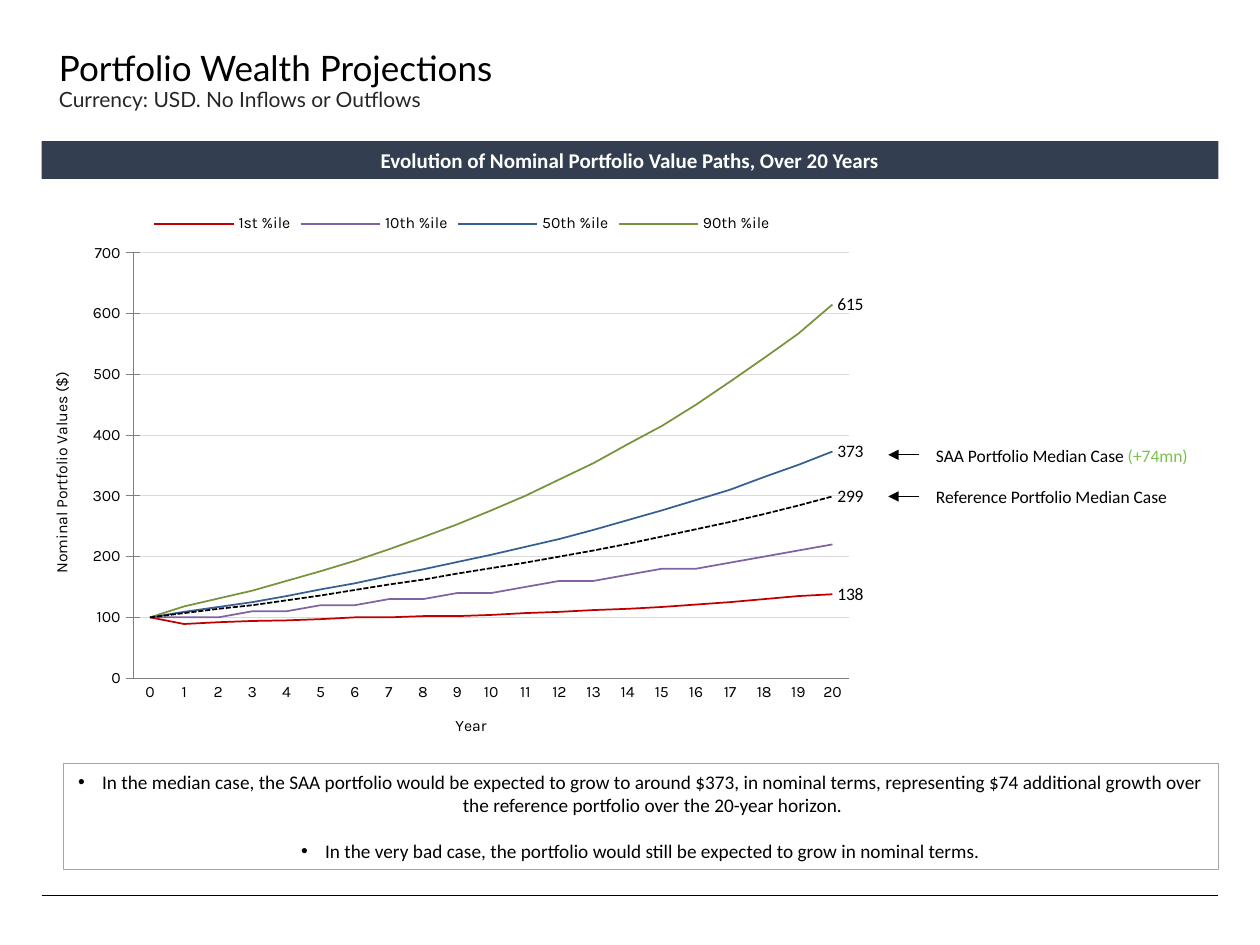
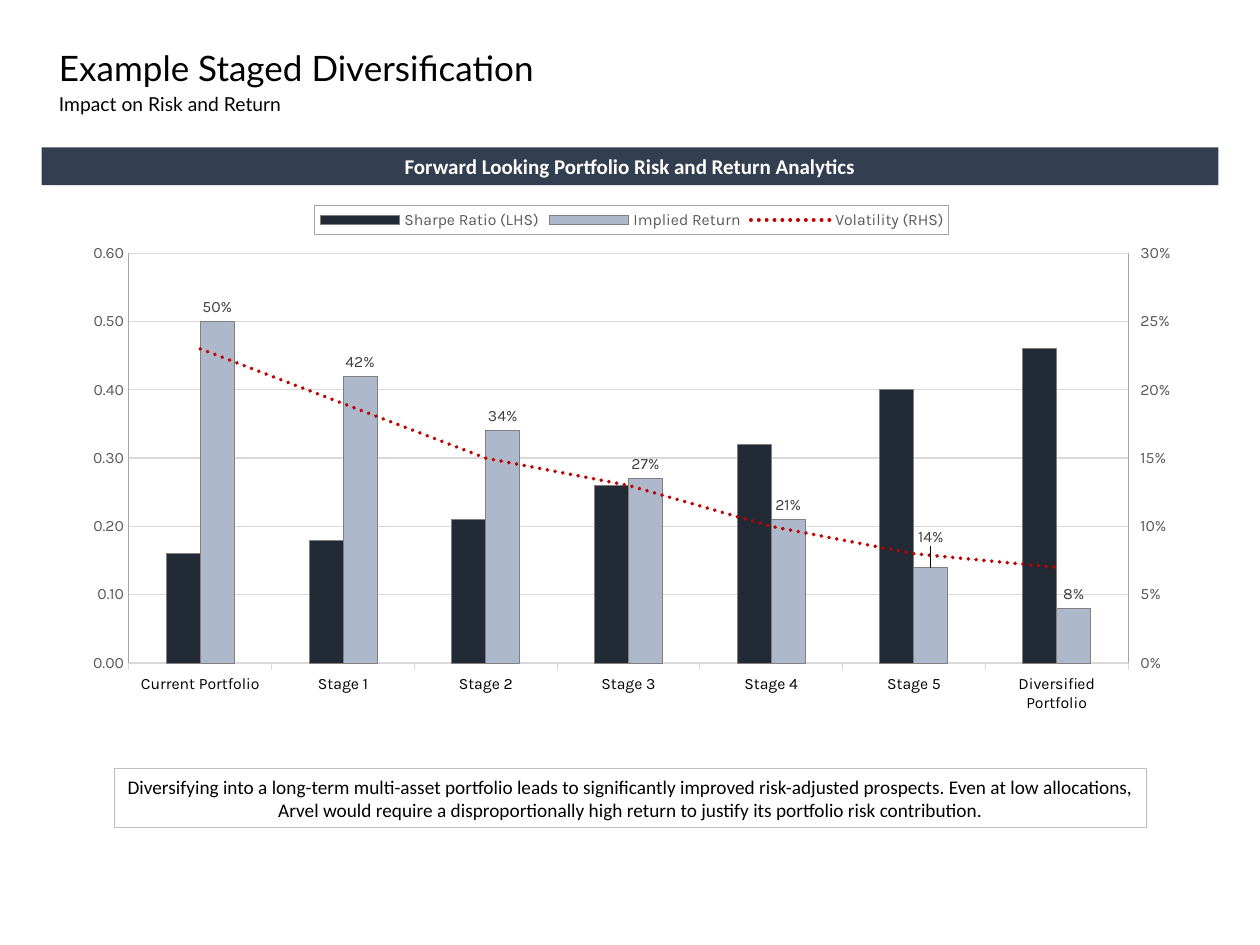
"""Build two portfolio analytics slides with native charts."""
import dataclasses
import typing

import lxml.etree
import pptx
import pptx.chart.axis
import pptx.chart.data
import pptx.dml.color
import pptx.enum.chart
import pptx.enum.dml
import pptx.enum.shapes
import pptx.enum.text
import pptx.oxml
import pptx.oxml.ns
import pptx.util

Inches, Pt, qn = pptx.util.Inches, pptx.util.Pt, pptx.oxml.ns.qn
BLACK, WHITE, BAND, RED = "000000", "FFFFFF", "333F50", "C00000"
GRID, AXIS, MUTED, BORDER = "D9D9D9", "808080", "595959", "A6A6A6"
TITLE_FONT, BODY_FONT, CHART_FONT = "Lato", "Calibri", "Karla"
TICK, DASH, KIND = pptx.enum.chart.XL_TICK_MARK, pptx.enum.dml.MSO_LINE, pptx.enum.chart.XL_CHART_TYPE
LABEL_AT, NO_MARKER = pptx.enum.chart.XL_LABEL_POSITION, pptx.enum.chart.XL_MARKER_STYLE.NONE


class Box(typing.NamedTuple):
    left: float
    top: float
    width: float
    height: float


class Run(typing.NamedTuple):
    text: str
    size: float
    color: str = BLACK
    font: str = BODY_FONT
    bold: bool = False


@dataclasses.dataclass
class Path:
    name: str
    color: str
    values: list[float]
    labelled: bool = True
    dash: typing.Any = None


PATHS = [
    Path("1st %ile", RED, [100, 89, 92, 94, 95, 97, 100, 100, 102, 102, 104, 107, 109, 112, 114, 117,
                           121, 125, 130, 135, 138]),
    Path("10th %ile", "8064A2", [100, 100, 100, 110, 110, 120, 120, 130, 130, 140, 140, 150, 160, 160,
                                 170, 180, 180, 190, 200, 210, 220], labelled=False),
    Path("50th %ile", "376092", [100, 109, 117, 125, 135, 146, 156, 168, 179, 191, 203, 216, 229, 244,
                                 260, 276, 293, 310, 331, 351, 373]),
    Path("90th %ile", "77933C", [100, 118, 131, 144, 160, 176, 193, 212, 232, 253, 276, 300, 327, 354,
                                 385, 415, 450, 488, 527, 567, 615]),
    Path("Series 5", BLACK, [100, 107, 114, 120, 128, 136, 145, 154, 162, 172, 181, 190, 200, 210,
                             221, 233, 245, 257, 270, 284, 299], dash=DASH.SQUARE_DOT),
]
CALLOUTS = {
    3.61: [Run("SAA Portfolio Median Case ", 10), Run("(+74mn)", 10, "7CC04D")],
    3.94: [Run("Reference Portfolio Median Case", 10)],
}
STAGES = ["Current Portfolio", *(f"Stage {n}" for n in range(1, 6)), "Diversified Portfolio"]
STAGE_VALUES = {
    "Sharpe Ratio (LHS)": [0.16, 0.18, 0.21, 0.26, 0.32, 0.4, 0.46],
    "Implied Return": [0.5, 0.42, 0.34, 0.27, 0.21, 0.14, 0.08],
    "Volatility (RHS)": [0.23, 0.19, 0.15, 0.13, 0.1, 0.08, 0.07],
}


def rgb(color: str) -> pptx.dml.color.RGBColor:
    """Turn a hex string into a colour."""
    return pptx.dml.color.RGBColor.from_string(color)


def xml(tag: str, inside: str = "", attributes: str = ""):
    """Make a chart element from its tag, content and attributes."""
    return pptx.oxml.parse_xml(f"<c:{tag} {pptx.oxml.ns.nsdecls('c', 'a')} {attributes}>{inside}</c:{tag}>")


def set_font(font, size: float, color: str = BLACK, name: str = CHART_FONT, bold: bool = False) -> None:
    """Set size, colour, family and weight of a font."""
    font.size, font.name, font.bold = Pt(size), name, bold
    font.color.rgb = rgb(color)


def set_line(line, color: str, width: float, dash=None) -> None:
    """Set colour, width and dash of a line."""
    line.color.rgb = rgb(color)
    line.width = Pt(width)
    line.dash_style = dash


def add_runs(p, runs: list[Run]) -> None:
    """Add styled runs to a paragraph."""
    for run in runs:
        r = p.add_run()
        r.text = run.text
        set_font(r.font, *run[1:])


def add_text(s, box: Box, runs: list[Run]) -> None:
    """Add a wrapping text box."""
    tf = s.shapes.add_textbox(*map(Inches, box)).text_frame
    tf.word_wrap = True
    add_runs(tf.paragraphs[0], runs)


def add_panel(s, box: Box, runs: list[Run], fill: str = "", border: str = "", bullets: bool = False) -> None:
    """Add a rectangle with one centred paragraph for each run."""
    sp = s.shapes.add_shape(pptx.enum.shapes.MSO_SHAPE.RECTANGLE, *map(Inches, box))
    sp.shadow.inherit = False
    sp.fill.background()
    sp.line.fill.background()
    if fill:
        sp.fill.solid()
        sp.fill.fore_color.rgb = rgb(fill)
    if border:
        set_line(sp.line, border, 0.5)
    tf = sp.text_frame
    tf.word_wrap = True
    tf.vertical_anchor = pptx.enum.text.MSO_ANCHOR.MIDDLE
    for i, run in enumerate(runs):
        p = tf.add_paragraph() if i else tf.paragraphs[0]
        if bullets:
            pPr = p._p.get_or_add_pPr()
            pPr.set("marL", str(Inches(0.19)))
            pPr.set("indent", str(Inches(-0.19)))
            lxml.etree.SubElement(pPr, qn("a:buFont"), typeface="Arial")
            lxml.etree.SubElement(pPr, qn("a:buChar"), char="•")
        p.alignment = pptx.enum.text.PP_ALIGN.CENTER
        if i:
            p.space_before = Pt(13)
        add_runs(p, [run])


def add_line(s, left: float, right: float, y: float, arrow: bool = False) -> None:
    """Add a thin level line, with an arrowhead at its second end if asked."""
    sp = s.shapes.add_connector(pptx.enum.shapes.MSO_CONNECTOR.STRAIGHT, *map(Inches, (left, y, right, y)))
    set_line(sp.line, BLACK, 0.5)
    if arrow:
        lxml.etree.SubElement(sp.element.spPr.find(qn("a:ln")), qn("a:tailEnd"), type="triangle")
    lxml.etree.SubElement(sp.element.spPr, qn("a:effectLst"))


def add_header(s, title: str, subtitle: Run, subtitle_top: float, band: str, band_top: float) -> None:
    """Add title, subtitle and the dark band."""
    add_text(s, Box(0.37, 0.32, 8.47, 0.44), [Run(title, 20, font=TITLE_FONT)])
    add_text(s, Box(0.37, subtitle_top, 8.47, 0.3), [subtitle])
    add_panel(s, Box(0.33, band_top, 9.34, 0.3), [Run(band, 12, WHITE, bold=True)], fill=BAND)


def manual_layout(box: Box, target: str = ""):
    """Make a layout element from fractions of the chart."""
    sizes = "".join(f'<c:{tag} val="{v}"/>' for tag, v in zip("xywh", box))
    return xml("layout", f'<c:manualLayout>{target}<c:xMode val="edge"/><c:yMode val="edge"/>{sizes}'
                         '</c:manualLayout>')


def outline():
    """Make a thin grey border for a part of a chart."""
    return xml("spPr", f'<a:ln w="6350"><a:solidFill><a:srgbClr val="{BORDER}"/></a:solidFill></a:ln>')


def add_chart(s, kind, box: Box, categories, series: dict, plot: Box, font: str, legend_color: str):
    """Add a chart with a top legend and a fixed plot area; return it with that area."""
    data = pptx.chart.data.CategoryChartData()
    data.categories = categories
    for name, values in series.items():
        data.add_series(name, values)
    chart = s.shapes.add_chart(kind, *map(Inches, box), data).chart
    set_font(chart.font, 10, name=font)
    chart.has_title, chart.has_legend = False, True
    chart.legend.position = pptx.enum.chart.XL_LEGEND_POSITION.TOP
    chart.legend.include_in_layout = False
    set_font(chart.legend.font, 9, legend_color)
    chart.plots[0].vary_by_categories = False
    area = chart.element.find(".//" + qn("c:plotArea"))
    for old in area.findall(qn("c:layout")):
        area.remove(old)
    area.insert(0, manual_layout(plot, '<c:layoutTarget val="inner"/>'))
    return chart, area


def style_axis(axis, color: str, line: str = "", tick=TICK.NONE, grid: float = 0, title: str = "") -> None:
    """Set fonts, line, ticks, gridlines and title of an axis."""
    set_font(axis.tick_labels.font, 9, color)
    axis.format.line.fill.background()
    if line:
        set_line(axis.format.line, line, 0.5)
    axis.major_tick_mark, axis.minor_tick_mark = tick, TICK.NONE
    axis.has_major_gridlines = bool(grid)
    if grid:
        set_line(axis.major_gridlines.format.line, GRID, grid)
    if title:
        add_runs(axis.axis_title.text_frame.paragraphs[0], [Run(title, 9, font=CHART_FONT)])


def set_scale(axis, top: float, step: float, number_format: str) -> None:
    """Scale an axis from zero and format its numbers."""
    axis.minimum_scale, axis.maximum_scale, axis.major_unit = 0, top, step
    axis.tick_labels.number_format, axis.tick_labels.number_format_is_linked = number_format, False


def style_path(series, color: str, width: float, dash=None) -> None:
    """Draw a series as a straight line without markers."""
    series.smooth = False
    series.marker.style = NO_MARKER
    set_line(series.format.line, color, width, dash)


def add_path_chart(s) -> None:
    """Add the line chart of portfolio value paths."""
    chart, area = add_chart(s, KIND.LINE, Box(0.37, 1.59, 6.59, 4.39), [str(n) for n in range(21)],
                            {path.name: path.values for path in PATHS},
                            Box(0.104, 0.095, 0.863, 0.769), BODY_FONT, BLACK)
    style_axis(chart.category_axis, BLACK, AXIS, title="Year")
    style_axis(chart.value_axis, BLACK, AXIS, TICK.CROSS, 0.5, "Nominal Portfolio Values ($)")
    set_scale(chart.value_axis, 700, 100, "0")
    valAx = area.find(qn("c:valAx"))
    if valAx.find(qn("c:crossBetween")) is None:
        valAx.find(qn("c:crosses")).addnext(xml("crossBetween", attributes='val="between"'))
    pos = chart.legend._element.find(qn("c:legendPos"))
    pos.addnext(manual_layout(Box(0.04, 0.01, 0.94, 0.09)))
    pos.addnext(xml("legendEntry", '<c:idx val="4"/><c:delete val="1"/>'))
    for path, series in zip(PATHS, chart.plots[0].series):
        style_path(series, path.color, 1, path.dash)
        if path.labelled:
            series.data_labels.show_value = False
            label = series.points[len(path.values) - 1].data_label
            set_font(label.font, 10, name=BODY_FONT)
            label.position = LABEL_AT.RIGHT


def move_to_right_axis(area):
    """Turn the last column series into a line on a right axis, and return that axis."""
    bars = area.find(qn("c:barChart"))
    ser = bars.findall(qn("c:ser"))[-1]
    for flag in ser.findall(qn("c:invertIfNegative")):
        ser.remove(flag)
    lines = xml("lineChart", '<c:grouping val="standard"/><c:varyColors val="0"/><c:marker val="1"/>'
                             '<c:axId val="5001"/><c:axId val="5002"/>')
    lines.insert(2, ser)
    bars.addnext(lines)
    cat, val = (xml(tag, f'<c:axId val="{own}"/><c:scaling><c:orientation val="minMax"/></c:scaling>'
                         f'<c:delete val="{hidden}"/><c:axPos val="{side}"/><c:crossAx val="{other}"/>'
                         f'<c:crosses val="{cross}"/>')
                for tag, own, other, hidden, side, cross in (("catAx", 5001, 5002, 1, "b", "autoZero"),
                                                             ("valAx", 5002, 5001, 0, "r", "max")))
    val.append(xml("crossBetween", attributes='val="between"'))
    area.find(qn("c:valAx")).addnext(cat)
    cat.addprevious(val)
    return pptx.chart.axis.ValueAxis(val)


def add_stage_chart(s) -> None:
    """Add the combined column and line chart of the stages."""
    chart, area = add_chart(s, KIND.COLUMN_CLUSTERED, Box(0.56, 1.56, 8.91, 4.17), STAGES, STAGE_VALUES,
                            Box(0.052, 0.108, 0.89, 0.78), CHART_FONT, MUTED)
    chart.legend._element.find(qn("c:txPr")).addprevious(outline())
    area.append(outline())
    style_axis(chart.category_axis, BLACK, GRID, TICK.OUTSIDE)
    style_axis(chart.value_axis, MUTED, grid=0.75)
    set_scale(chart.value_axis, 0.6, 0.1, "0.00")
    right = move_to_right_axis(area)
    style_axis(right, MUTED, tick=TICK.OUTSIDE)
    set_scale(right, 0.3, 0.05, "0%")
    bars, lines = chart.plots
    bars.gap_width = 219
    for series, color in zip(bars.series, ("222A35", "ADB9CA")):
        series.format.fill.solid()
        series.format.fill.fore_color.rgb = rgb(color)
        set_line(series.format.line, AXIS, 0.5)
    labels = bars.series[1].data_labels
    labels.show_value = True
    labels.number_format, labels.number_format_is_linked = "0%", False
    raised = bars.series[1].points[5].data_label
    for label in (labels, raised):
        label.position = LABEL_AT.OUTSIDE_END
        set_font(label.font, 9, "404040")
    idx = labels._element.find(qn("c:dLbl")).find(qn("c:idx"))
    idx.addnext(xml("numFmt", attributes='formatCode="0%" sourceLinked="0"'))
    idx.addnext(xml("layout", '<c:manualLayout><c:x val="0"/><c:y val="-0.03"/></c:manualLayout>'))
    style_path(lines.series[0], RED, 2.25, DASH.ROUND_DOT)
    lines.series[0]._element.find(".//" + qn("a:ln")).set("cap", "rnd")


def main() -> None:
    """Build and save the presentation."""
    prs = pptx.Presentation()
    prs.slide_width, prs.slide_height = Inches(10), Inches(7.5)
    s = prs.slides.add_slide(prs.slide_layouts[6])
    add_header(s, "Portfolio Wealth Projections",
               Run("Currency: USD. No Inflows or Outflows", 12, "262626", TITLE_FONT), 0.64,
               "Evolution of Nominal Portfolio Value Paths, Over 20 Years", 1.12)
    add_path_chart(s)
    for y, runs in CALLOUTS.items():
        add_text(s, Box(7.33, y - 0.13, 2.25, 0.27), runs)
        add_line(s, 7.29, 7.05, y, arrow=True)
    add_panel(s, Box(0.5, 6.06, 9.17, 0.84), [Run(text, 11) for text in (
        "In the median case, the SAA portfolio would be expected to grow to around $373, in nominal terms, "
        "representing $74 additional growth over the reference portfolio over the 20-year horizon.",
        "In the very bad case, the portfolio would still be expected to grow in nominal terms.")],
        border=BORDER, bullets=True)
    add_line(s, 0.33, 9.67, 7.11)
    s = prs.slides.add_slide(prs.slide_layouts[6])
    add_header(s, "Example Staged Diversification", Run("Impact on Risk and Return", 11, font=TITLE_FONT),
               0.68, "Forward Looking Portfolio Risk and Return Analytics", 1.17)
    add_stage_chart(s)
    add_panel(s, Box(0.91, 6.1, 8.19, 0.47), [Run(
        "Diversifying into a long-term multi-asset portfolio leads to significantly improved risk-adjusted "
        "prospects. Even at low allocations, Arvel would require a disproportionally high return to justify "
        "its portfolio risk contribution.", 11)], border="BFBFBF")
    prs.save("out.pptx")


if __name__ == "__main__":
    main()
